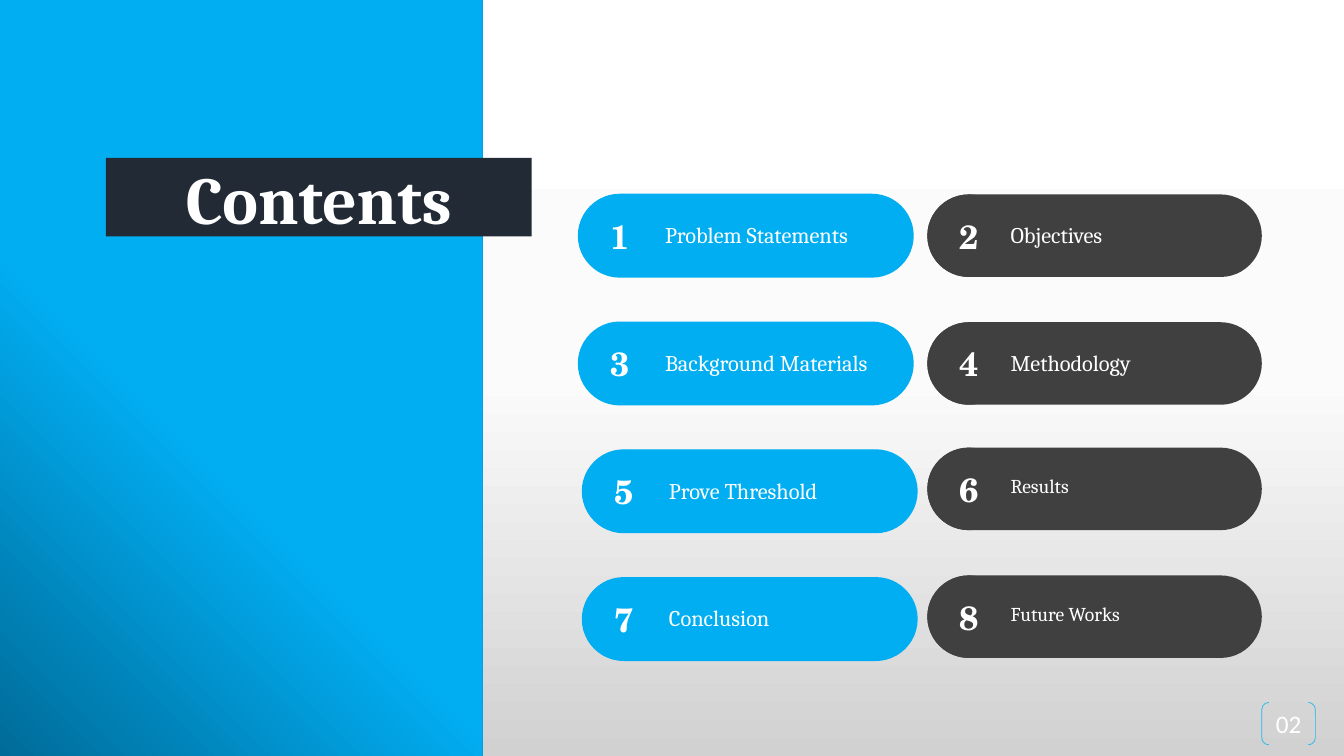
"""Build the contents slide with eight numbered entries."""
from lxml import etree
from pptx import Presentation
from pptx.dml.color import RGBColor
from pptx.enum import shapes, text
from pptx.oxml import ns
from pptx.util import Cm, Pt

HEADING = "Contents"
PAGE = "02"
ENTRIES = [
    [("Problem Statements", 16), ("Objectives", 16)],
    [("Background Materials", 16), ("Methodology", 16)],
    [("Prove Threshold", 16), ("Results", 14)],
    [("Conclusion", 16), ("Future Works", 14)],
]
BLUE, DARK, NAVY, WHITE = "01AEF2", "404040", "222A35", "FFFFFF"
BACKDROP = [(0, "FFFFFF"), (50, "FBFBFB"), (100, "D1D1D1")]
PANEL = [(59, BLUE), (100, "006B99")]

FIRST_TOP, PITCH = 4.9, 3.22
PILL_WIDTH, PILL_HEIGHT, BADGE_WIDTH = 8.43, 2.08, 2.11
COLUMNS = [
    {"left": 14.58, "color": BLUE, "label": 1.93, "shift": (0.1, 0)},
    {"left": 23.37, "color": DARK, "label": 1.85, "shift": (0, -0.06)},
]


def rgb(value):
    return RGBColor.from_string(value)


def write(shape, words, size=16, font="Cambria", bold=False, align=text.PP_ALIGN.CENTER,
          anchor=text.MSO_ANCHOR.MIDDLE, autosize=text.MSO_AUTO_SIZE.NONE):
    frame = shape.text_frame
    frame.word_wrap = True
    frame.auto_size = autosize
    frame.vertical_anchor = anchor
    paragraph = frame.paragraphs[0]
    paragraph.alignment = align
    run = paragraph.add_run()
    run.text = words
    run.font.size, run.font.name, run.font.bold = Pt(size), font, bold
    run.font.color.rgb = rgb(WHITE)


def add_block(slide, kind, box, fill=None, line=None, width=1):
    block = slide.shapes.add_shape(kind, *map(Cm, box))
    block.shadow.inherit = False
    if fill:
        block.fill.solid()
        block.fill.fore_color.rgb = rgb(fill)
    else:
        block.fill.background()
    if line:
        block.line.color.rgb = rgb(line)
        block.line.width = Pt(width)
    else:
        block.line.fill.background()
    return block


def set_gradient(fill, element, stops, circular=False):
    fill.gradient()
    gradient = element.find(".//" + ns.qn("a:gradFill"))
    for child in list(gradient):
        gradient.remove(child)
    stop_list = etree.SubElement(gradient, ns.qn("a:gsLst"))
    for position, color in stops:
        stop = etree.SubElement(stop_list, ns.qn("a:gs"), pos=str(position * 1000))
        etree.SubElement(stop, ns.qn("a:srgbClr"), val=color)
    if circular:
        circle = etree.SubElement(gradient, ns.qn("a:path"), {"path": "circle"})
        etree.SubElement(circle, ns.qn("a:fillToRect"), l="100000", b="100000")
    else:
        etree.SubElement(gradient, ns.qn("a:lin"), ang="5400000", scaled="0")


def add_entry(slide, number, words, size, column, row):
    shift_x, shift_y = column["shift"] if row > 1 else (0, 0)
    left = column["left"] + shift_x
    top = FIRST_TOP + row * PITCH + shift_y
    color = column["color"]
    pill = add_block(slide, shapes.MSO_SHAPE.ROUNDED_RECTANGLE,
                     (left, top, PILL_WIDTH, PILL_HEIGHT), color,
                     BLUE if color == BLUE else None)
    pill.adjustments[0] = 0.5
    label = slide.shapes.add_textbox(Cm(left + column["label"]), Cm(top + 0.55),
                                     Cm(8.94), Cm(0.94 if size == 16 else 0.86))
    write(label, words, size=size, align=text.PP_ALIGN.LEFT, anchor=text.MSO_ANCHOR.TOP,
          autosize=text.MSO_AUTO_SIZE.SHAPE_TO_FIT_TEXT)
    badge = add_block(slide, shapes.MSO_SHAPE.OVAL,
                      (left, top, BADGE_WIDTH, PILL_HEIGHT), color)
    write(badge, str(number), size=24, font="TeX Gyre Schola", bold=True)


def main():
    deck = Presentation()
    deck.slide_width, deck.slide_height = Cm(33.87), Cm(19.05)
    slide = deck.slides.add_slide(deck.slide_layouts[5])
    set_gradient(slide.background.fill, slide.element, BACKDROP)

    panel = add_block(slide, shapes.MSO_SHAPE.RECTANGLE, (0, 0, 12.15, 19.05), BLUE)
    set_gradient(panel.fill, panel.element, PANEL, circular=True)

    heading = slide.shapes.title
    heading.left, heading.top, heading.width, heading.height = map(Cm, (2.67, 3.98, 10.73, 1.98))
    heading.fill.solid()
    heading.fill.fore_color.rgb = rgb(NAVY)
    write(heading, HEADING, size=48, bold=True)
    panel.element.addnext(heading.element)

    for row, pair in enumerate(ENTRIES):
        for index, (words, size) in enumerate(pair):
            add_entry(slide, row * 2 + index + 1, words, size, COLUMNS[index], row)

    page = add_block(slide, shapes.MSO_SHAPE.DOUBLE_BRACKET, (31.8, 17.7, 1.35, 1.07),
                     line="20B8EF", width=0.5)
    write(page, PAGE, size=18, font="Calibri")
    deck.save("out.pptx")


if __name__ == "__main__":
    main()
